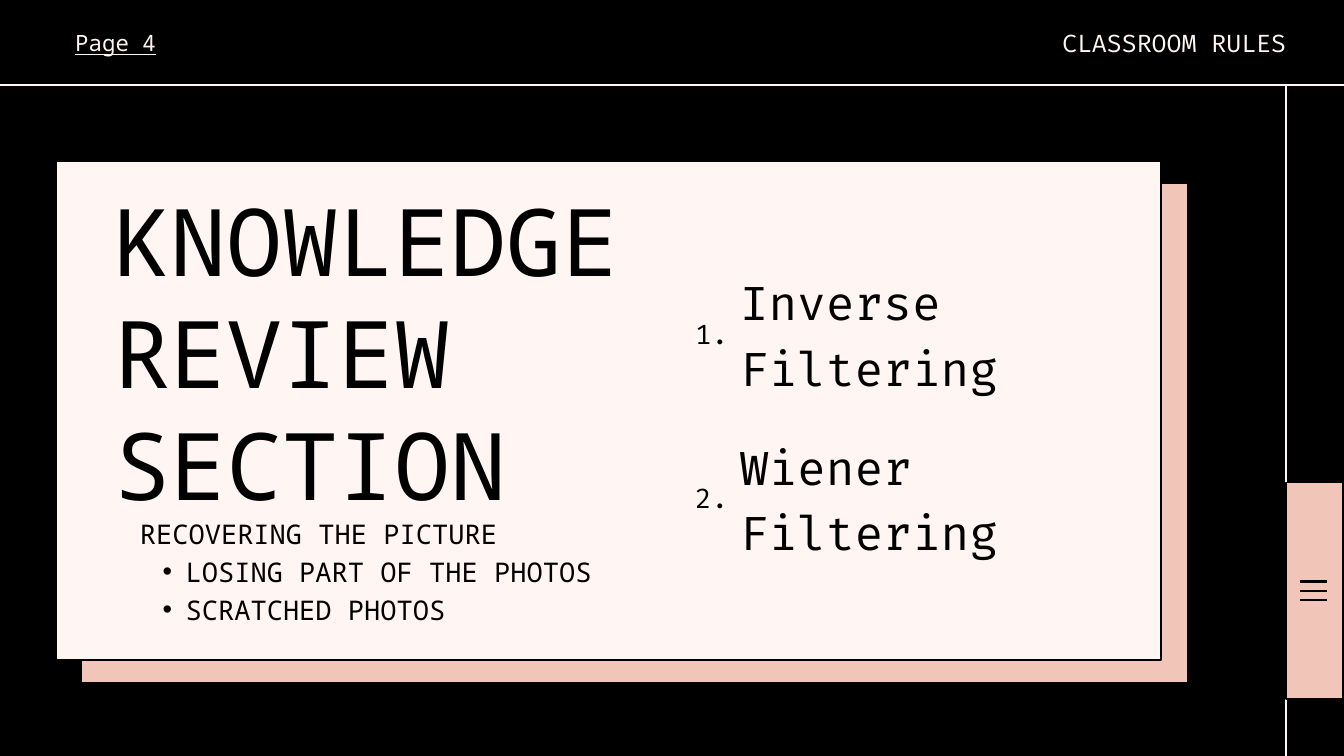
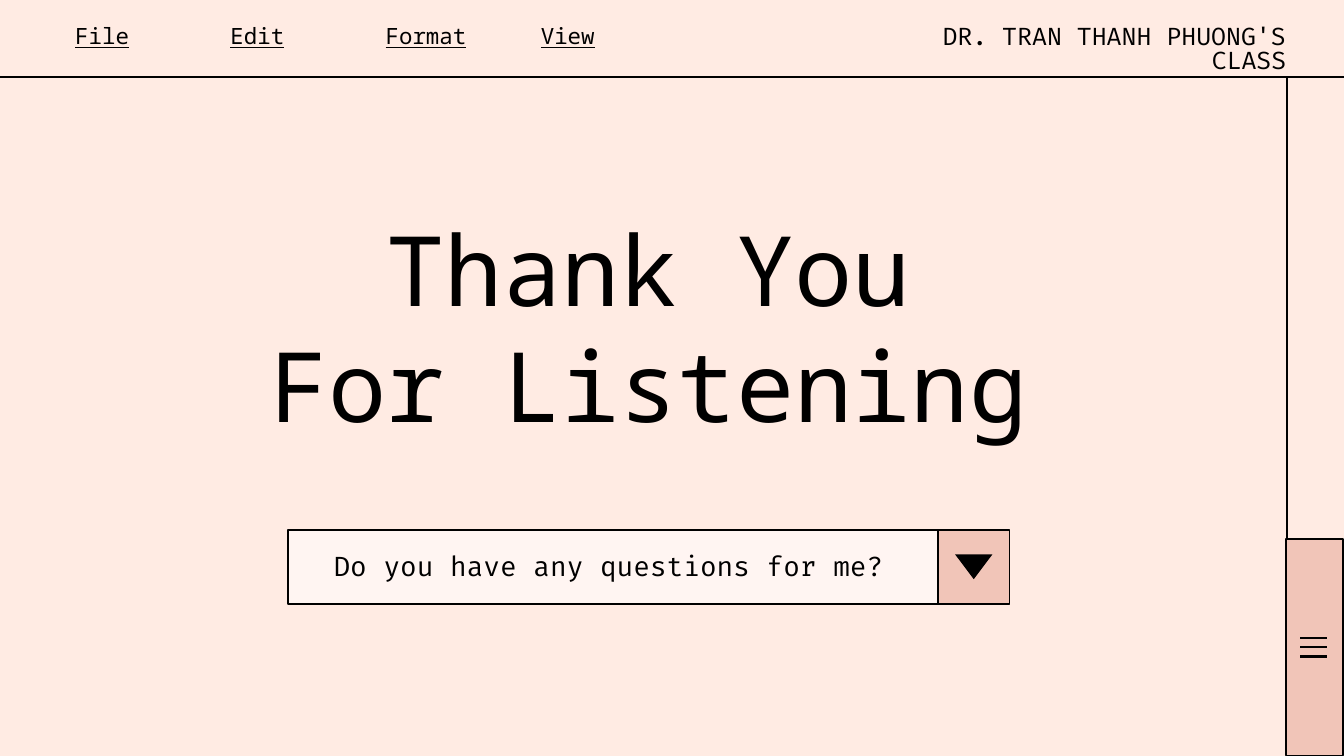
from lxml import etree
from pptx import Presentation
from pptx.dml.color import RGBColor
from pptx.enum.shapes import MSO_CONNECTOR, MSO_SHAPE
from pptx.enum.text import MSO_ANCHOR, MSO_AUTO_SIZE, PP_ALIGN
from pptx.oxml.ns import qn
from pptx.util import Pt

LEFT, CENTER, RIGHT = PP_ALIGN.LEFT, PP_ALIGN.CENTER, PP_ALIGN.RIGHT
TOP, NO_FIT = MSO_ANCHOR.TOP, MSO_AUTO_SIZE.NONE
RECT, TRIANGLE_DOWN = MSO_SHAPE.RECTANGLE, MSO_SHAPE.FLOWCHART_MERGE
STRAIGHT = MSO_CONNECTOR.STRAIGHT
TITLE_AND_BODY, TITLE_ONLY = 1, 5

WIDTH, HEIGHT = 1440, 810
BLACK, CREAM, BLUSH, CORAL = "000000", "FFF5F2", "FFEBE3", "F1C5B8"
CODE, MONO = "Fira Code", "Noto Sans Mono"

HEADING = dict(name=MONO, size=Pt(100))
CLOSING = dict(name=MONO, size=Pt(104))
BODY = dict(name=MONO, size=Pt(29))
MENU = dict(name=MONO, size=Pt(24), underline=True)
HEADER = dict(name=CODE, size=Pt(26))
LABEL = dict(name=CODE, size=Pt(29))
TOPIC = dict(name=CODE, size=Pt(50))


def rgb(color):
    return RGBColor.from_string(color)


def set_bullet(p, char=None, margin=0, hanging=0):
    """Give a paragraph its own bullet, or none, and its indents."""
    pPr = p._p.get_or_add_pPr()
    pPr.set("marL", str(Pt(margin)))
    pPr.set("indent", str(-Pt(hanging)))
    if char:
        etree.SubElement(pPr, qn("a:buFont")).set("typeface", "Arial")
        etree.SubElement(pPr, qn("a:buChar")).set("char", char)
    else:
        etree.SubElement(pPr, qn("a:buNone"))


class Deck:
    def __init__(self):
        self.prs = Presentation()
        self.prs.slide_width, self.prs.slide_height = Pt(WIDTH), Pt(HEIGHT)
        self.s = None
        self.ink = BLACK

    def slide(self, layout, background, ink):
        self.s = self.prs.slides.add_slide(self.prs.slide_layouts[layout])
        self.s.background.fill.solid()
        self.s.background.fill.fore_color.rgb = rgb(background)
        self.ink = ink

    def line(self, x1, y1, x2, y2, color=None):
        sp = self.s.shapes.add_connector(STRAIGHT, Pt(x1), Pt(y1), Pt(x2), Pt(y2))
        sp.line.color.rgb = rgb(color or self.ink)
        sp.line.width = Pt(2.25)
        etree.SubElement(sp._element.spPr, qn("a:effectLst"))

    def shape(self, kind, x, y, w, h, fill, outline=True):
        sp = self.s.shapes.add_shape(kind, Pt(x), Pt(y), Pt(w), Pt(h))
        sp.shadow.inherit = False
        sp.fill.solid()
        sp.fill.fore_color.rgb = rgb(fill)
        if outline:
            sp.line.color.rgb = rgb(BLACK)
            sp.line.width = Pt(1.8)
        else:
            sp.line.fill.background()

    def set_text(self, sp, box, lines, font, spacing, align=LEFT, color=BLACK):
        """Place a text shape and fill it, one paragraph a line."""
        sp.left, sp.top, sp.width, sp.height = map(Pt, box)
        tf = sp.text_frame
        tf.word_wrap, tf.auto_size, tf.vertical_anchor = True, NO_FIT, TOP
        tf.margin_left = tf.margin_top = tf.margin_right = tf.margin_bottom = 0
        for i, line in enumerate(lines):
            p = tf.add_paragraph() if i else tf.paragraphs[0]
            p.alignment, p.line_spacing = align, Pt(spacing)
            r = p.add_run()
            r.text = line
            r.font.color.rgb = rgb(color)
            for key, value in font.items():
                setattr(r.font, key, value)
        return tf

    def text(self, box, line, font, spacing, align=LEFT, color=BLACK):
        sp = self.s.shapes.add_textbox(*map(Pt, box))
        self.set_text(sp, box, [line], font, spacing, align, color)

    def placeholder(self, index, *args):
        """Fill a placeholder and bring it in front of the shapes so far."""
        sp = self.s.placeholders[index]
        sp.element.getparent().append(sp.element)
        return self.set_text(sp, *args)

    def title(self, box, lines, font, spacing, align=LEFT):
        self.placeholder(0, box, lines, font, spacing, align)

    def bullets(self, box, intro, items):
        tf = self.placeholder(1, box, [intro, *items], BODY, 40.6)
        for i, p in enumerate(tf.paragraphs):
            p.space_before = Pt(0)
            if i:
                p.level = 1
                set_bullet(p, "•", 49, 24.5)
            else:
                set_bullet(p)

    def window(self, bar_y, header_y, header, menu, menu_y, rail_x, thumb_y):
        """Draw the menu bar, the header and the scroll bar."""
        self.line(0, bar_y, WIDTH, bar_y)
        right = 1378.4
        w = 462.2
        self.text((right - w, header_y, w, 26), header, HEADER, 26, RIGHT, self.ink)
        for i, item in enumerate(menu):
            self.text((80.6 + 166.3 * i, menu_y, 140, 24), item, MENU, 24,
                      color=self.ink)
        self.line(rail_x, bar_y + 1, rail_x, HEIGHT)
        thumb_h = 232
        self.shape(RECT, 1378.2, thumb_y, 60.8, thumb_h, CORAL)
        for step in (-1, 0, 1):
            y = thumb_y + thumb_h / 2 + 10 * step
            self.line(1393.2, y, 1422, y, BLACK)


def review_slide(deck):
    deck.slide(TITLE_AND_BODY, BLACK, CREAM)
    deck.shape(RECT, 86.6, 195.9, 1186.2, 535.3, CORAL)
    deck.shape(RECT, 60.6, 172.2, 1183.3, 535.3, CREAM)
    for i, topic in enumerate(("Inverse Filtering", "Wiener Filtering")):
        y = 283.7 + 176.4 * i
        deck.text((679.7, y + 50.4, 100.8, 39), f"{i + 1}.", LABEL, 40.6, RIGHT)
        deck.text((792.7, y, 408.2, 137), topic, TOPIC, 70)
    deck.title((122.4, 195.8, 550.8, 357), ["KNOWLEDGE REVIEW SECTION"], HEADING, 120)
    deck.bullets((149.8, 548.6, 496, 120), "RECOVERING THE PICTURE",
                 ["LOSING PART OF THE PHOTOS", "SCRATCHED PHOTOS"])
    deck.window(bar_y=90.9, header_y=35.3, header="CLASSROOM RULES",
                menu=["Page 4"], menu_y=36, rail_x=1377.4, thumb_y=517)


def closing_slide(deck):
    deck.slide(TITLE_ONLY, BLUSH, BLACK)
    deck.window(bar_y=82.6, header_y=27.4, header="DR. TRAN THANH PHUONG'S CLASS",
                menu=["File", "Edit", "Format", "View"], menu_y=28.8,
                rail_x=1378.8, thumb_y=577.4)
    deck.title((110.2, 223.9, 1170, 248.4), ["Thank You", "For Listening"],
               CLOSING, 124.8, CENTER)
    deck.shape(RECT, 308.4, 568.2, 704, 79, CREAM)
    deck.shape(RECT, 1004.8, 568.2, 77, 79, CORAL)
    deck.shape(TRIANGLE_DOWN, 1023.3, 594, 40, 26.6, BLACK, outline=False)
    deck.text((323.3, 594.7, 658, 29.5), "Do you have any questions for me?",
              LABEL, 29, CENTER)


def main():
    deck = Deck()
    review_slide(deck)
    closing_slide(deck)
    deck.prs.save("out.pptx")


if __name__ == "__main__":
    main()
